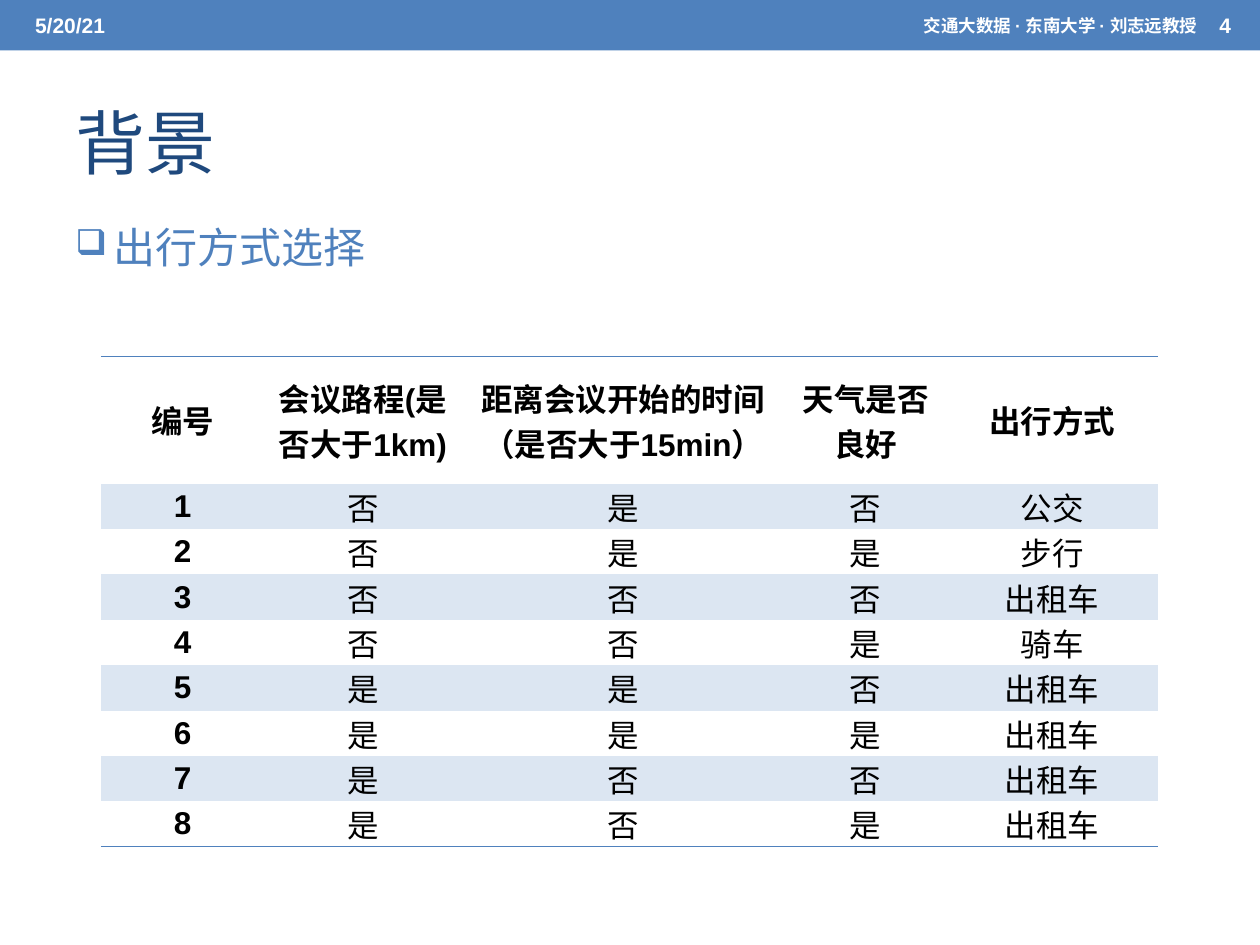
from lxml.etree import SubElement
from pptx import Presentation
from pptx.dml.color import RGBColor
from pptx.enum.shapes import MSO_SHAPE
from pptx.enum.text import MSO_ANCHOR, PP_ALIGN
from pptx.oxml.ns import qn
from pptx.util import Inches, Pt

BLUE, NAVY, PALE, WHITE, BLACK = "4F81BD", "1F497D", "DCE6F2", "FFFFFF", "000000"
SANS, CJK = "Arial", "Noto Sans CJK SC"

COLUMN_WIDTHS = [1.3, 1.56, 2.57, 1.28, 1.68]
HEADER_HEIGHT, ROW_HEIGHT = 1.01, 0.36
HEADERS = ["编号", "会议路程(是否大于1km)", "距离会议开始的时间（是否大于15min）",
           "天气是否良好", "出行方式"]
TRIPS = [
    ["1", "否", "是", "否", "公交"],
    ["2", "否", "是", "是", "步行"],
    ["3", "否", "否", "否", "出租车"],
    ["4", "否", "否", "是", "骑车"],
    ["5", "是", "是", "否", "出租车"],
    ["6", "是", "是", "是", "出租车"],
    ["7", "是", "否", "否", "出租车"],
    ["8", "是", "否", "是", "出租车"],
]


def color(value):
    return RGBColor.from_string(value)


def write(frame, text, size=18, font=SANS, fill=BLACK, bold=False,
          align=PP_ALIGN.LEFT, spacing=None):
    """Put one formatted paragraph into a text frame and return it."""
    para = frame.paragraphs[0]
    para.alignment = align
    if spacing:
        para.line_spacing = spacing
    span = para.add_run()
    span.text = text
    span.font.size = Pt(size)
    span.font.name = font
    span.font.bold = bold
    span.font.color.rgb = color(fill)
    SubElement(span.font._element, qn("a:ea"), typeface=CJK)
    return para


def add_text(page, text, left, top, width, height, anchor=MSO_ANCHOR.MIDDLE, **style):
    box = page.shapes.add_textbox(Inches(left), Inches(top), Inches(width), Inches(height))
    box.text_frame.word_wrap = True
    box.text_frame.vertical_anchor = anchor
    return write(box.text_frame, text, **style)


def add_bullet(para, char, indent):
    properties = para._p.get_or_add_pPr()
    properties.set("marL", str(Inches(indent)))
    properties.set("indent", str(-Inches(indent)))
    bullet_color = SubElement(properties, qn("a:buClr"))
    SubElement(bullet_color, qn("a:srgbClr"), val=BLUE)
    SubElement(properties, qn("a:buSzPct"), val="85000")
    SubElement(properties, qn("a:buChar"), char=char)


def set_borders(cell, sides):
    """Draw the named sides in blue and hide the others."""
    properties = cell._tc.get_or_add_tcPr()
    for position, side in enumerate(["L", "R", "T", "B"]):
        line = properties.makeelement(qn(f"a:ln{side}"), {"w": str(Pt(1))})
        if side in sides:
            fill = SubElement(line, qn("a:solidFill"))
            SubElement(fill, qn("a:srgbClr"), val=BLUE)
        else:
            SubElement(line, qn("a:noFill"))
        properties.insert(position, line)


def fill_cell(cell, text, row, column):
    cell.margin_left = cell.margin_right = Inches(0.07)
    cell.margin_top = cell.margin_bottom = 0
    cell.vertical_anchor = MSO_ANCHOR.MIDDLE
    if row % 2:
        cell.fill.solid()
        cell.fill.fore_color.rgb = color(PALE)
    else:
        cell.fill.background()
    set_borders(cell, {0: "TB", len(TRIPS): "B"}.get(row, ""))
    strong = row == 0 or column == 0
    write(cell.text_frame, text, font=SANS if strong else CJK, bold=strong,
          align=PP_ALIGN.CENTER)


def add_trip_table(page, left, top):
    rows = [HEADERS] + TRIPS
    height = HEADER_HEIGHT + ROW_HEIGHT * len(TRIPS)
    table = page.shapes.add_table(len(rows), len(HEADERS), Inches(left), Inches(top),
                                  Inches(sum(COLUMN_WIDTHS)), Inches(height)).table
    table.horz_banding = False
    for column, width in zip(table.columns, COLUMN_WIDTHS):
        column.width = Inches(width)
    for number, texts in enumerate(rows):
        table.rows[number].height = Inches(ROW_HEIGHT if number else HEADER_HEIGHT)
        for column, text in enumerate(texts):
            fill_cell(table.cell(number, column), text, number, column)


def add_top_bar(page, width):
    bar = page.shapes.add_shape(MSO_SHAPE.RECTANGLE, 0, 0, width, Inches(0.4))
    bar.shadow.inherit = False
    bar.fill.solid()
    bar.fill.fore_color.rgb = color(BLUE)
    bar.line.fill.background()
    style = {"fill": WHITE, "bold": True}
    add_text(page, "5/20/21", 0.18, 0.02, 3.17, 0.36, size=12, **style)
    add_text(page, "交通大数据 · 东南大学 · 刘志远教授", 4.32, 0.02, 5.28, 0.36,
             size=10, align=PP_ALIGN.RIGHT, **style)
    add_text(page, "4", 9.58, 0.02, 0.42, 0.36, size=12, **style)


def main():
    deck = Presentation()
    deck.slide_width, deck.slide_height = Inches(10), Inches(7.5)
    page = deck.slides.add_slide(deck.slide_layouts[6])
    add_top_bar(page, deck.slide_width)
    add_text(page, "背景", 0.5, 0.58, 9, 1.08, size=40, font=CJK, fill=NAVY)
    topic = add_text(page, "出行方式选择", 0.5, 1.51, 2.65, 0.71, anchor=MSO_ANCHOR.TOP,
                     size=24, font=CJK, fill=BLUE, spacing=1.5)
    add_bullet(topic, "❑", 0.3)
    add_trip_table(page, 0.8, 2.83)
    deck.save("out.pptx")


if __name__ == "__main__":
    main()
